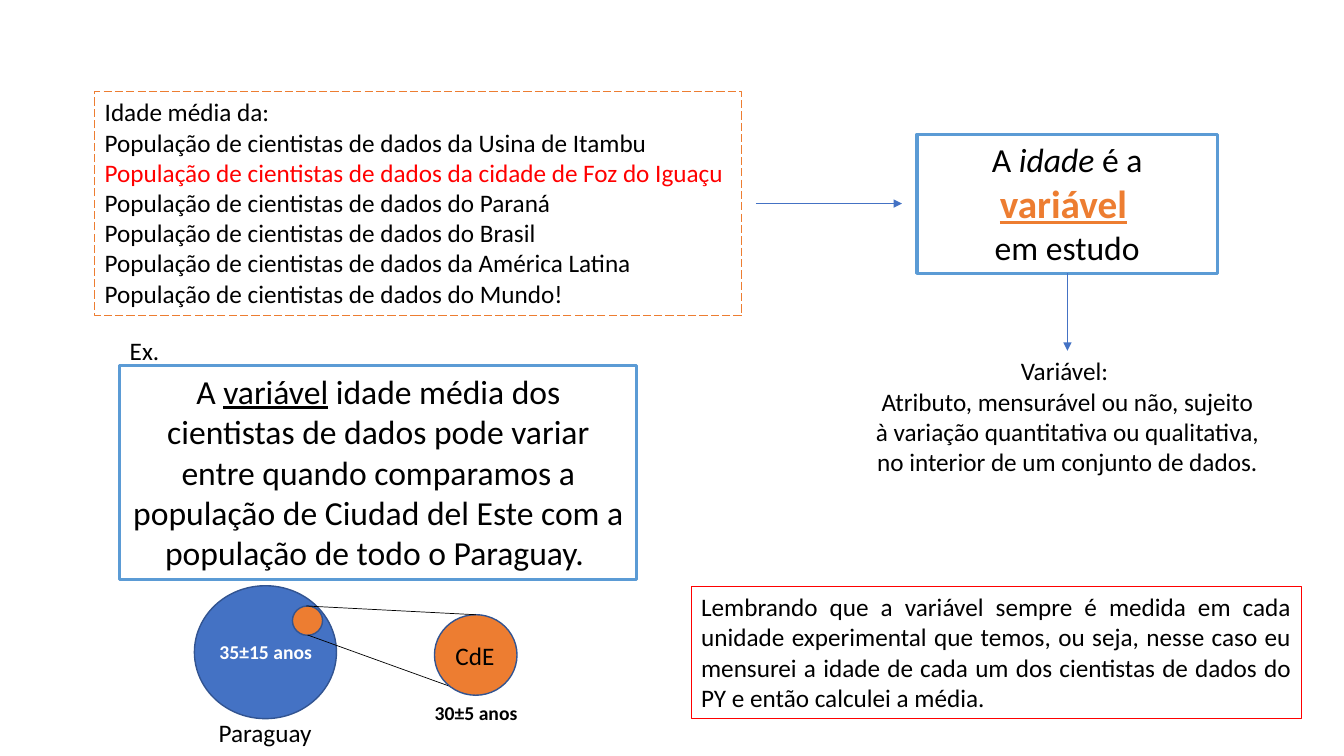
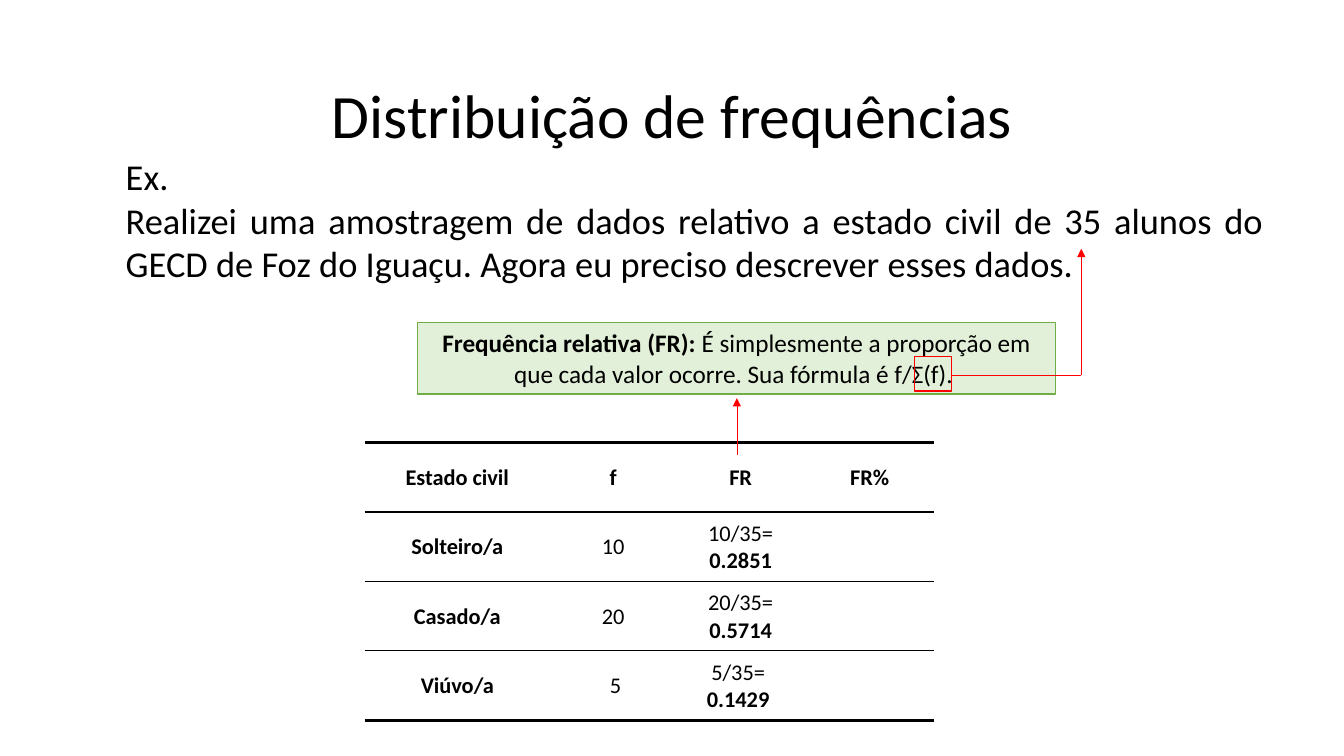
import pptx
import pptx.dml.color
import pptx.enum.dml
import pptx.enum.shapes
import pptx.enum.text
import pptx.oxml
import pptx.oxml.ns
import pptx.util

Cm = pptx.util.Cm
Pt = pptx.util.Pt
Align = pptx.enum.text.PP_ALIGN
Anchor = pptx.enum.text.MSO_ANCHOR
Preset = pptx.enum.shapes.MSO_SHAPE

COLORS = {
    "black": "000000",
    "white": "FFFFFF",
    "red": "FF0000",
    "orange": "ED7D31",
    "blue": "4472C4",
    "light_blue": "5B9BD5",
    "dark_blue": "325491",
    "green": "70AD47",
    "pale_green": "E2F0D9",
}
FONT = "Calibri"
PLAIN_TABLE_STYLE = "{2D5ABB26-0587-4C30-8999-92F81FD0307C}"
BOLD = {"bold": True}


def rgb(name):
    return pptx.dml.color.RGBColor.from_string(COLORS[name])


def set_values(target, values):
    for name, value in values.items():
        setattr(target, name, value)


def write_text(frame, paragraphs, size, align=Align.LEFT, color="black", **formats):
    for index, runs in enumerate(paragraphs):
        paragraph = frame.add_paragraph() if index else frame.paragraphs[0]
        paragraph.alignment = align
        for content in [runs] if isinstance(runs, str) else runs:
            text, changes = (content, {}) if isinstance(content, str) else content
            values = {"name": FONT, "size": size, "color": color, **formats, **changes}
            run = paragraph.add_run()
            run.text = text
            run.font.color.rgb = rgb(values.pop("color"))
            values["size"] = Pt(values["size"])
            set_values(run.font, values)


def add_text(slide, box, paragraphs, size=18, wrap=True, anchor=Anchor.TOP, **formats):
    shape = slide.shapes.add_textbox(*map(Cm, box))
    fill_frame(shape, paragraphs, size, wrap, anchor, **formats)


def fill_frame(shape, paragraphs, size, wrap, anchor, **formats):
    set_values(shape.text_frame, {"word_wrap": wrap, "vertical_anchor": anchor})
    write_text(shape.text_frame, paragraphs, size, **formats)


def add_outline(slide, preset, box, line, width, fill=None, dash=None):
    shape = slide.shapes.add_shape(preset, *map(Cm, box))
    shape.shadow.inherit = False
    if fill:
        shape.fill.solid()
        shape.fill.fore_color.rgb = rgb(fill)
    else:
        shape.fill.background()
    shape.line.color.rgb = rgb(line)
    set_values(shape.line, {"width": Pt(width), "dash_style": dash})
    return shape


def add_panel(slide, box, paragraphs, line, width=0.75, fill=None, dash=None,
              size=18, wrap=True, **formats):
    shape = add_outline(slide, Preset.RECTANGLE, box, line, width, fill, dash)
    fill_frame(shape, paragraphs, size, wrap, Anchor.TOP, **formats)


def add_line(slide, start, end, color, arrow=False):
    connector = slide.shapes.add_connector(
        pptx.enum.shapes.MSO_CONNECTOR.STRAIGHT, *map(Cm, (*start, *end)))
    connector.line.color.rgb = rgb(color)
    connector.line.width = Pt(0.5)
    if arrow:
        tail = pptx.oxml.parse_xml(
            f'<a:tailEnd {pptx.oxml.ns.nsdecls("a")} type="triangle"/>')
        connector.line._get_or_add_ln().append(tail)
    properties = connector._element.spPr
    properties.append(pptx.oxml.parse_xml(f'<a:effectLst {pptx.oxml.ns.nsdecls("a")}/>'))


def add_border(cell, side, width):
    properties = cell._tc.get_or_add_tcPr()
    border = pptx.oxml.parse_xml(
        f'<a:{side} {pptx.oxml.ns.nsdecls("a")} w="{Pt(width)}"><a:solidFill>'
        f'<a:srgbClr val="{COLORS["black"]}"/></a:solidFill></a:{side}>')
    fill = properties.find(pptx.oxml.ns.qn("a:solidFill"))
    fill.addprevious(border)


def add_frequency_table(slide, left, top, column_widths, row_height, rows, rules):
    frame = slide.shapes.add_table(
        len(rows), len(column_widths), Cm(left), Cm(top),
        Cm(sum(column_widths)), Cm(row_height * len(rows)))
    table = frame.table
    set_values(table, {"first_row": False, "horz_banding": False})
    table._tbl.tblPr.find(pptx.oxml.ns.qn("a:tableStyleId")).text = PLAIN_TABLE_STYLE
    margins = {"margin_left": Cm(0.03), "margin_right": Cm(0.03),
               "margin_top": Cm(0.03), "margin_bottom": 0,
               "vertical_anchor": Anchor.MIDDLE}
    for column, width in zip(table.columns, column_widths):
        column.width = Cm(width)
    for row_index, contents in enumerate(rows):
        table.rows[row_index].height = Cm(row_height)
        for column_index, paragraphs in enumerate(contents):
            cell = table.cell(row_index, column_index)
            set_values(cell, margins)
            cell.fill.solid()
            cell.fill.fore_color.rgb = rgb("white")
            heading = row_index == 0 or column_index == 0
            write_text(cell.text_frame, paragraphs, 16, Align.CENTER, bold=heading)
            for side, rule in zip(("lnT", "lnB"), rules[row_index:row_index + 2]):
                if rule:
                    add_border(cell, side, rule)


def add_population_diagram(slide):
    def add_circle(box, fill):
        add_outline(slide, Preset.OVAL, box, "dark_blue", 1, fill)

    add_circle((4.9, 14.76, 3.58, 3.35), "blue")
    add_text(slide, (5.28, 16, 2.84, 0.86), ["35±15 anos"], 14, False,
             color="white", bold=True)
    add_circle((7.37, 15.27, 0.76, 0.74), "orange")
    add_text(slide, (10.69, 17.55, 2.62, 0.86), ["30±5 anos"], 14, False,
             align=Align.CENTER, bold=True)
    add_line(slide, (7.75, 16), (11.99, 17.53), "black")
    add_circle((10.95, 15.49, 2.08, 2.03), "orange")
    add_line(slide, (7.72, 15.27), (11.99, 15.49), "black")
    add_text(slide, (5.26, 17.96, 2.87, 1.02), ["Paraguay"], wrap=False)
    add_text(slide, (11.23, 16, 1.5, 1.02), ["CdE"], wrap=False)


def build_variable_slide(slide):
    key_panel = {"line": "light_blue", "width": 2.25, "fill": "white",
                 "size": 24, "align": Align.CENTER}
    prefix = "População de cientistas de dados "
    add_panel(slide, (2.39, 2.31, 16.31, 5.64), [
        "Idade média da:",
        prefix + "da Usina de Itambu",
        [(prefix + "da cidade de Foz do Iguaçu", {"color": "red"})],
        *(prefix + place for place in
          ("do Paraná", "do Brasil", "da América Latina", "do Mundo!")),
    ], "orange", dash=pptx.enum.dml.MSO_LINE.LONG_DASH, wrap=False)
    add_panel(slide, (23.11, 3.38, 7.57, 3.51), [
        ["A ", ("idade", {"italic": True}), " é a ",
         ("variável", {"size": 28, "color": "orange", "bold": True, "underline": True}),
         " "],
        "em estudo",
    ], **key_panel)
    add_line(slide, (19.05, 5.13), (22.73, 5.13), "blue", arrow=True)
    add_text(slide, (21.77, 8.84, 10.26, 3.33), [
        "Variável: ",
        "Atributo, mensurável ou não, sujeito à variação quantitativa ou qualitativa, "
        "no interior de um conjunto de dados.",
    ], align=Align.CENTER)
    add_line(slide, (26.9, 6.88), (26.9, 8.84), "blue", arrow=True)
    add_panel(slide, (3.02, 9.22, 13.03, 5.38), [
        ["A ", ("variável", {"underline": True}),
         " idade média dos cientistas de dados pode variar entre quando comparamos a "
         "população de Ciudad del Este com a população de todo o Paraguay. "],
    ], **key_panel)
    add_text(slide, (3.02, 8.33, 1.27, 1.02), ["Ex."], wrap=False)
    add_population_diagram(slide)
    add_panel(slide, (17.42, 14.78, 15.37, 3.33), [
        "Lembrando que a variável sempre é medida em cada unidade experimental que "
        "temos, ou seja, nesse caso eu mensurei a idade de cada um dos cientistas de "
        "dados do PY e então calculei a média. ",
    ], "red", align=Align.JUSTIFY)


def build_frequency_slide(slide):
    add_text(slide, (2.34, 1.02, 29.21, 3.68), ["Distribuição de frequências"], 44,
             anchor=Anchor.MIDDLE, align=Align.CENTER)
    add_frequency_table(slide, 9.19, 11.15, (4.67, 3.18, 3.25, 3.25), 1.75, [
        (["Estado civil"], ["f"], ["FR"], ["FR%"]),
        (["Solteiro/a"], ["10"], [["10/35= ", ("0.2851", BOLD)]], []),
        (["Casado/a"], ["20"], [["20/35= ", ("0.5714", BOLD)]], []),
        (["Viúvo/a"], [" 5"], ["5/35= ", [("0.1429 ", BOLD)]], []),
    ], (2, 1, 0.75, None, 2))
    add_panel(slide, (10.52, 8.13, 16.08, 1.8), [
        [("Frequência relativa (FR): ", BOLD),
         "É simplesmente a proporção em que cada valor ocorre. Sua fórmula é f/Σ(f). "],
    ], "green", fill="pale_green", align=Align.CENTER)
    add_line(slide, (18.57, 11.46), (18.57, 10.03), "red", arrow=True)
    add_text(slide, (2.92, 3.76, 29.21, 3.58), [
        "Ex.",
        "Realizei uma amostragem de dados relativo a estado civil de 35 alunos do GECD "
        "de Foz do Iguaçu. Agora eu preciso descrever esses dados. ",
    ], 26, align=Align.JUSTIFY)
    add_outline(slide, Preset.RECTANGLE, (23.04, 8.99, 0.94, 0.86), "red", 1)
    add_line(slide, (23.98, 9.45), (27.25, 9.45), "red")
    add_line(slide, (27.25, 9.45), (27.25, 6.27), "red", arrow=True)


def main():
    presentation = pptx.Presentation()
    set_values(presentation, {"slide_width": Cm(33.87), "slide_height": Cm(19.05)})
    for build in (build_variable_slide, build_frequency_slide):
        build(presentation.slides.add_slide(presentation.slide_layouts[6]))
    presentation.save("out.pptx")


if __name__ == "__main__":
    main()
